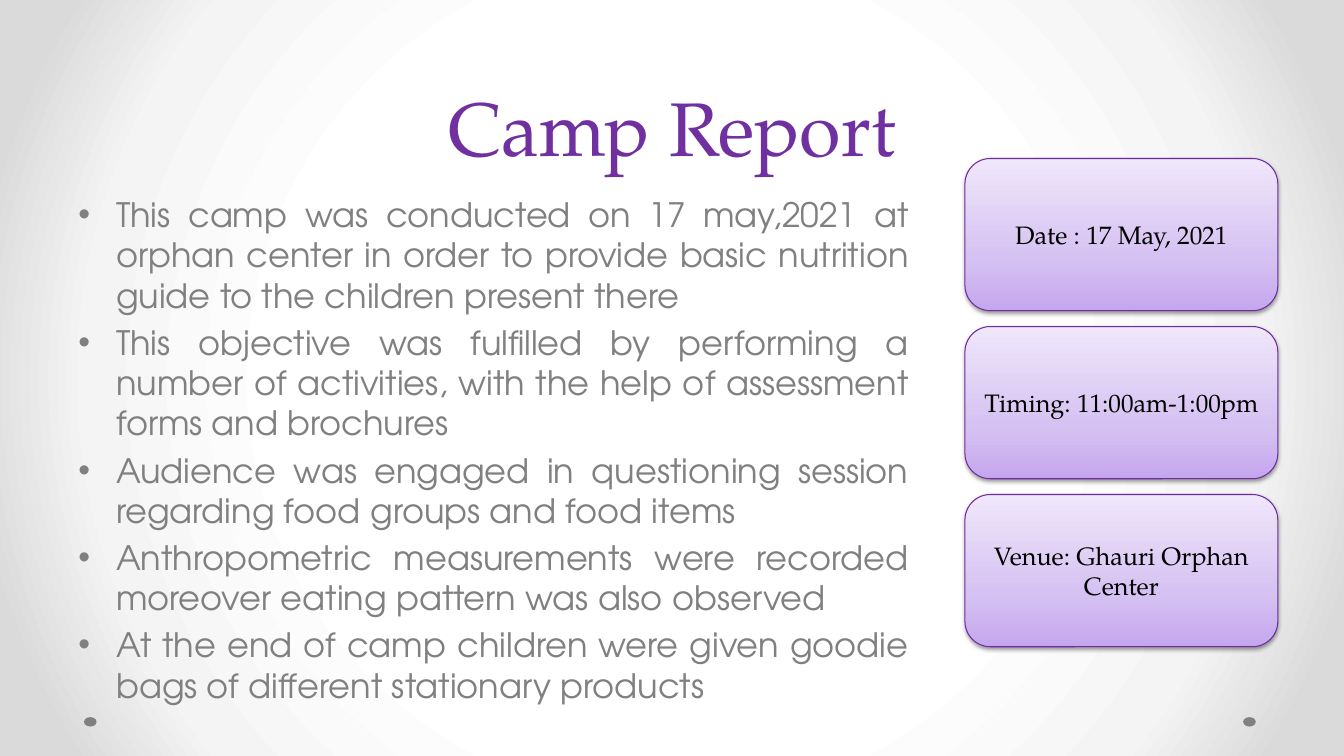
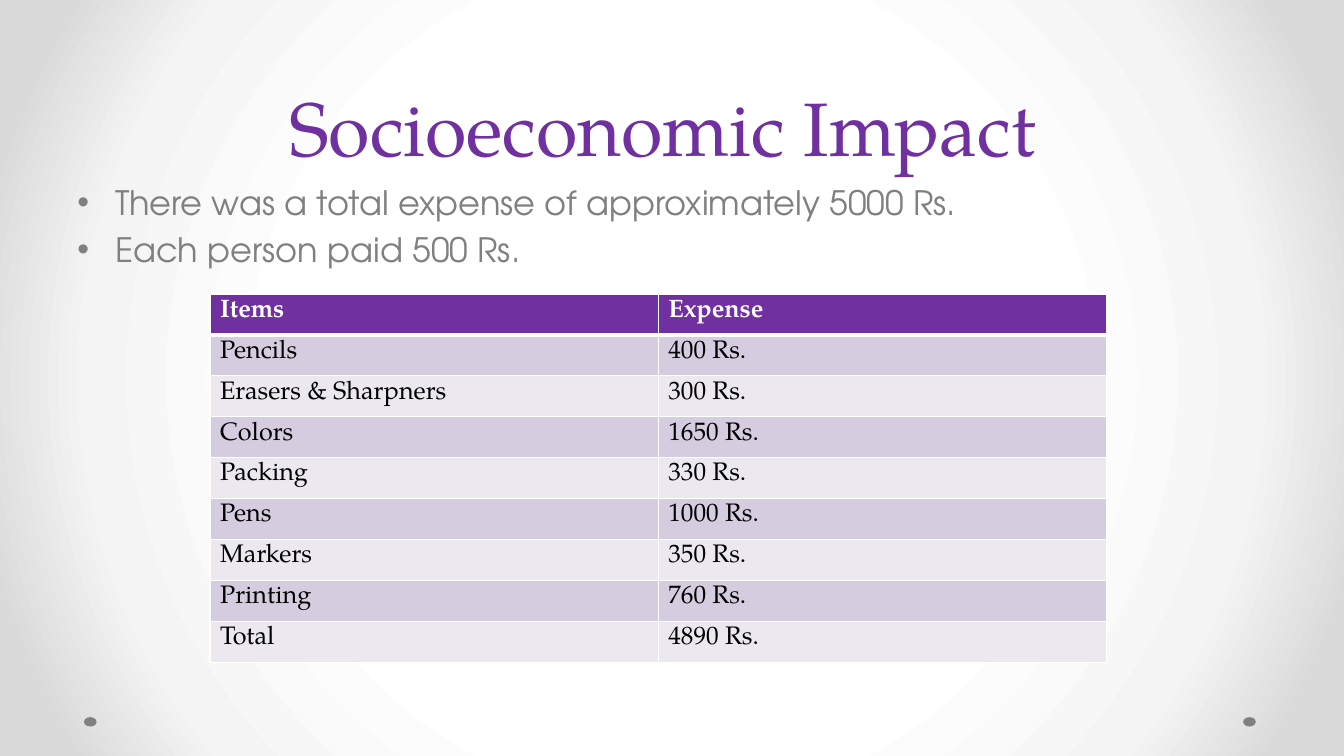
"""Build the camp report and expense slides."""
from lxml.etree import SubElement
from pptx import Presentation
from pptx.dml.color import RGBColor
from pptx.enum.shapes import MSO_SHAPE
from pptx.enum.text import MSO_ANCHOR, MSO_AUTO_SIZE, PP_ALIGN
from pptx.oxml import parse_xml
from pptx.oxml.ns import nsdecls, qn
from pptx.util import Pt

REPORT = {
    "title": "Camp Report",
    "points": [
        "This camp was conducted on 17 may,2021 at orphan center in order to "
        "provide basic nutrition guide to the children present there",
        "This objective was fulfilled by performing a number of activities, "
        "with the help of assessment forms and brochures",
        "Audience was engaged in questioning session regarding food groups and food items",
        "Anthropometric measurements were recorded moreover eating pattern was also observed",
        "At the end of camp children were given goodie bags of different stationary products",
    ],
    "area": (65, 180, 810, 475),
    "align": PP_ALIGN.JUSTIFY,
}
IMPACT = {
    "title": "Socioeconomic Impact ",
    "points": [
        "There was a total expense of approximately 5000 Rs.",
        "Each person paid 500 Rs.",
    ],
    "area": (64, 168, 1152, 475),
    "align": PP_ALIGN.LEFT,
}
FACTS = ["Date : 17 May, 2021", "Timing: 11:00am-1:00pm", "Venue: Ghauri Orphan Center"]
EXPENSES = [
    ("Items", "Expense"),
    ("Pencils", "400 Rs."),
    ("Erasers & Sharpners", "300 Rs."),
    ("Colors", "1650 Rs."),
    ("Packing", "330 Rs."),
    ("Pens", "1000 Rs."),
    ("Markers", "350 Rs."),
    ("Printing", "760 Rs."),
    ("Total", "4890 Rs."),
]

SLIDE_SIZE = (1280, 720)
TITLE_AREA = (64, 0, 1152, 168)
DOT_LEFTS, DOT_TOP, DOT_SIZE = (80, 1184), 683, (12, 9)
FACT_LEFT, FACT_TOP, FACT_SIZE, FACT_STEP = 919, 151, (298, 145), 160
TABLE_LEFT, TABLE_TOP, COLUMN_WIDTH, ROW_HEIGHT = 200, 280, 427, 39

PURPLE, GREY, WHITE, BLACK = "7030A0", "808080", "FFFFFF", "000000"
FACT_EDGE, BANDS = "6E2C9F", ("EBE8F0", "D5CDDF")
BACKDROP_STOPS = [(50, WHITE), (76, "F4F4F4"), (92, "DADADA")]
FACT_STOPS = [(0, "C5A6EE"), (35, "D6C2F2"), (100, "EFE7FB")]
RADIAL = '<a:path path="circle"><a:fillToRect l="50000" t="50000" r="50000" b="50000"/></a:path>'
UPWARD = '<a:lin ang="16200000" scaled="0"/>'

SERIF, SANS = "TeX Gyre Pagella", "TeX Gyre Adventor"
TITLE_FONT = {"name": SERIF, "size": Pt(54), "color": PURPLE}
BODY_FONT = {"name": SANS, "size": Pt(24), "color": GREY}
LABEL_FONT = {"name": SERIF, "size": Pt(18), "color": BLACK, "bold": False}
HEADER_FONT = {**LABEL_FONT, "color": WHITE, "bold": True}


def px(length):
    return length * 9525


def rgb(code):
    return RGBColor.from_string(code)


def place(shape, area):
    for side, length in zip(("left", "top", "width", "height"), area):
        setattr(shape, side, px(length))


def write(paragraph, text, look):
    run = paragraph.add_run()
    run.text = text
    for key, value in look.items():
        if key == "color":
            run.font.color.rgb = rgb(value)
        else:
            setattr(run.font, key, value)


def paint_gradient(fill, holder, stops, direction):
    fill.solid()
    marks = "".join(
        f'<a:gs pos="{share * 1000}"><a:srgbClr val="{code}"/></a:gs>' for share, code in stops
    )
    gradient = parse_xml(
        f'<a:gradFill {nsdecls("a")} rotWithShape="1"><a:gsLst>{marks}</a:gsLst>{direction}</a:gradFill>'
    )
    holder.replace(holder.find(qn("a:solidFill")), gradient)


def decorate_master(master, slide):
    backdrop = master.background.fill
    backdrop.solid()
    paint_gradient(backdrop, master.element.find(".//" + qn("p:bgPr")), BACKDROP_STOPS, RADIAL)
    for left in DOT_LEFTS:
        dot = slide.shapes.add_shape(MSO_SHAPE.OVAL, *map(px, (left, DOT_TOP, *DOT_SIZE)))
        dot.fill.solid()
        dot.fill.fore_color.rgb = rgb(GREY)
        dot.line.fill.background()
        dot.shadow.inherit = False
        master.shapes.element.append(dot.element)


def add_content_slide(deck, content):
    slide = deck.slides.add_slide(deck.slide_layouts[1])
    title, body = slide.placeholders
    for holder, area in ((title, TITLE_AREA), (body, content["area"])):
        place(holder, area)
        holder.text_frame.auto_size = MSO_AUTO_SIZE.NONE
    title.text_frame.vertical_anchor = MSO_ANCHOR.BOTTOM
    heading = title.text_frame.paragraphs[0]
    heading.alignment = PP_ALIGN.CENTER
    heading.line_spacing = Pt(58)
    write(heading, content["title"], TITLE_FONT)
    for index, point in enumerate(content["points"]):
        frame = body.text_frame
        paragraph = frame.add_paragraph() if index else frame.paragraphs[0]
        paragraph.alignment = content["align"]
        if not index:
            paragraph.space_before = Pt(0)
        write(paragraph, point, BODY_FONT)
    return slide


def add_facts(slide):
    for index, fact in enumerate(FACTS):
        area = (FACT_LEFT, FACT_TOP + index * FACT_STEP, *FACT_SIZE)
        card = slide.shapes.add_shape(MSO_SHAPE.ROUNDED_RECTANGLE, *map(px, area))
        properties = card.element.spPr
        paint_gradient(card.fill, properties, FACT_STOPS, UPWARD)
        card.line.color.rgb = rgb(FACT_EDGE)
        card.line.width = Pt(0.75)
        card.shadow.inherit = False
        properties.find(qn("a:effectLst")).append(parse_xml(
            f'<a:outerShdw {nsdecls("a")} blurRad="40000" dist="20000" dir="5400000" rotWithShape="0">'
            f'<a:srgbClr val="{BLACK}"><a:alpha val="38000"/></a:srgbClr></a:outerShdw>'
        ))
        card.text_frame.word_wrap = True
        card.text_frame.vertical_anchor = MSO_ANCHOR.MIDDLE
        paragraph = card.text_frame.paragraphs[0]
        paragraph.alignment = PP_ALIGN.CENTER
        write(paragraph, fact, LABEL_FONT)


def add_borders(cell, widths):
    properties = cell._tc.get_or_add_tcPr()
    for side, width in widths.items():
        border = SubElement(properties, qn(f"a:ln{side}"), w=str(Pt(width)))
        SubElement(SubElement(border, qn("a:solidFill")), qn("a:srgbClr"), val=WHITE)


def add_expenses(slide):
    rows, columns = len(EXPENSES), len(EXPENSES[0])
    area = (TABLE_LEFT, TABLE_TOP, columns * COLUMN_WIDTH, rows * ROW_HEIGHT)
    expenses = slide.shapes.add_table(rows, columns, *map(px, area)).table
    for row, entries in enumerate(EXPENSES):
        for column, entry in enumerate(entries):
            cell = expenses.cell(row, column)
            add_borders(cell, {"L": 1, "R": 1, "T": 3 if row == 1 else 1, "B": 1 if row else 3})
            cell.fill.solid()
            cell.fill.fore_color.rgb = rgb(BANDS[row % 2] if row else PURPLE)
            write(cell.text_frame.paragraphs[0], entry, LABEL_FONT if row else HEADER_FONT)


def main():
    deck = Presentation()
    deck.slide_width, deck.slide_height = map(px, SLIDE_SIZE)
    report = add_content_slide(deck, REPORT)
    decorate_master(deck.slide_master, report)
    add_facts(report)
    add_expenses(add_content_slide(deck, IMPACT))
    deck.save("out.pptx")


if __name__ == "__main__":
    main()
